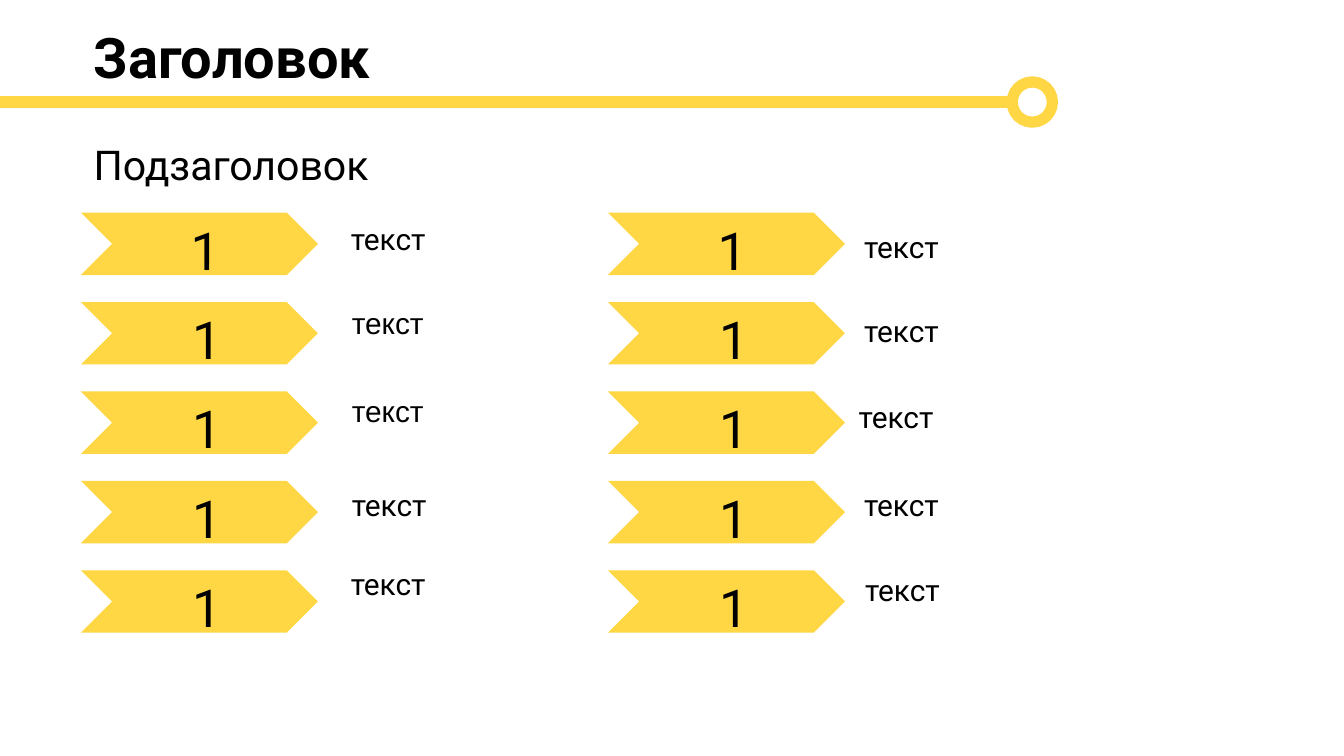
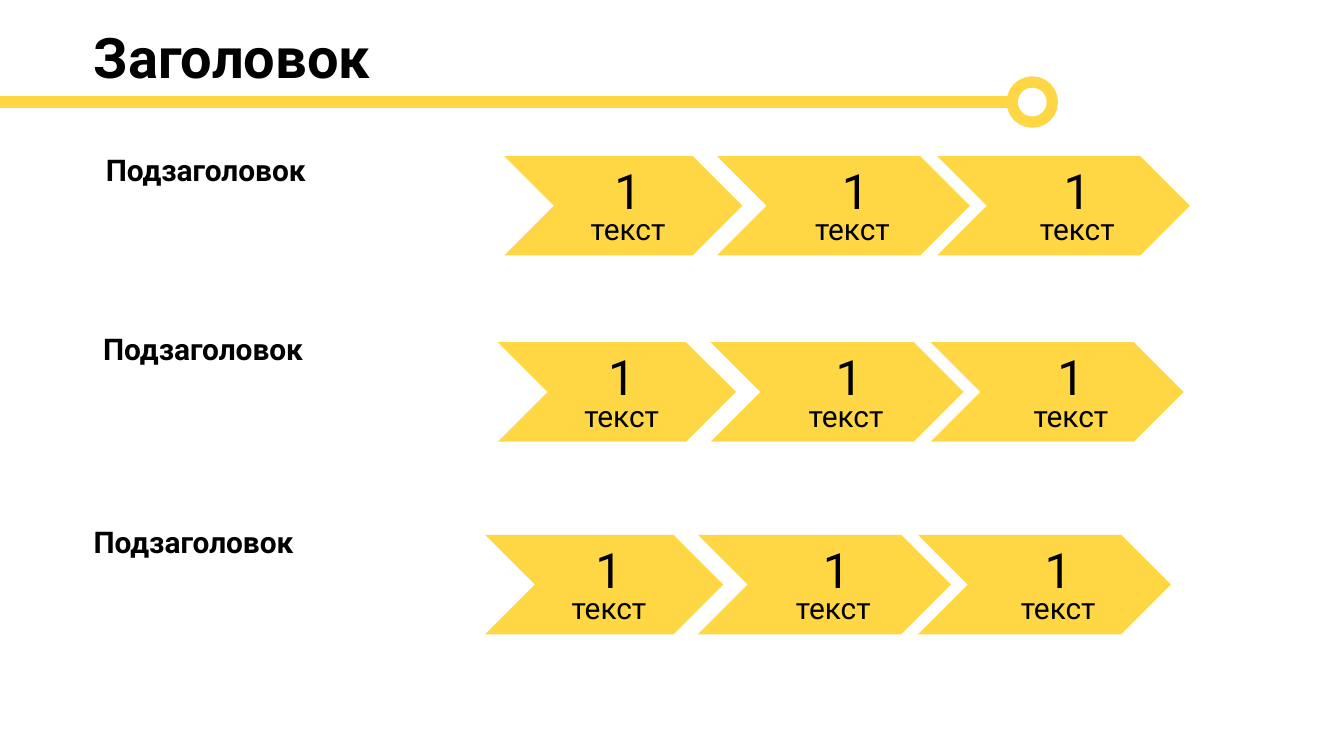
from lxml import etree
from pptx import Presentation
from pptx import util as u
from pptx.dml.color import RGBColor
from pptx.enum import shapes, text
from pptx.oxml import ns

GOLD = RGBColor(0xFF, 0xD7, 0x45)
BLACK = RGBColor(0, 0, 0)
LEFT, MID, JUST = text.PP_ALIGN.LEFT, text.PP_ALIGN.CENTER, text.PP_ALIGN.JUSTIFY
ONE = dict(alignment=MID, line_spacing=1.07)
TALL = 0.81


def assign(item, values):
    for name, value in values.items():
        setattr(item, name, value)


class Deck:
    def __init__(self):
        self.prs = Presentation()
        assign(self.prs, dict(slide_width=u.Cm(25.4), slide_height=u.Cm(14.29)))

    def page(self, high):
        self.slide = self.prs.slides.add_slide(self.prs.slide_layouts[6])
        self.label("Заголовок", (1.52, 0.3, 18.77, high), 30, bold=True)
        self.rule((-0.08, 1.93), (19.13, 1.93))
        self.ring((19.13, 1.55, 0.76, 0.76))

    def label(self, words, box, size, face="Roboto", bold=False, **para):
        frame = self.slide.shapes.add_textbox(*map(u.Cm, box)).text_frame
        assign(frame, dict(word_wrap=True, vertical_anchor=text.MSO_ANCHOR.TOP))
        line = frame.paragraphs[0]
        assign(line, dict(alignment=LEFT) | para)
        run = line.add_run()
        run.text = words
        assign(run.font, dict(name=face, size=u.Pt(size), bold=bold))
        run.font.color.rgb = BLACK

    def stroke(self, line):
        line.color.rgb = GOLD
        line.width = u.Pt(6)

    def rule(self, start, end):
        link = self.slide.shapes.add_connector(
            shapes.MSO_CONNECTOR.STRAIGHT, *map(u.Cm, start + end))
        self.stroke(link.line)
        etree.SubElement(link._element.spPr, ns.qn("a:effectLst"))

    def shape(self, kind, box):
        item = self.slide.shapes.add_shape(kind, *map(u.Cm, box))
        item.shadow.inherit = False
        return item

    def ring(self, box):
        item = self.shape(shapes.MSO_SHAPE.OVAL, box)
        item.fill.background()
        self.stroke(item.line)

    def arrow(self, box):
        item = self.shape(shapes.MSO_SHAPE.CHEVRON, box)
        item.adjustments[0] = 0.5
        item.fill.solid()
        item.fill.fore_color.rgb = GOLD
        item.line.fill.background()


def lists(deck):
    deck.page(1.6)
    deck.label("Подзаголовок", (1.52, 2.51, 18.77, 1.02), 22)
    gap = dict(alignment=JUST, space_after=u.Pt(8))
    arial = dict(face="Arial")
    labels = [
        (6.38, 4.04, 3.76, TALL, {}),
        (6.4, 5.64, 4.37, TALL, arial),
        (6.4, 7.29, 4.09, TALL, arial),
        (6.4, 9.07, 3.18, TALL, {}),
        (6.38, 10.57, 4.19, TALL, {}),
        (16.08, 4.19, 6.86, TALL, gap),
        (16.08, 5.79, 5.79, TALL, {}),
        (15.98, 7.42, 7.57, 1.02, dict(alignment=JUST)),
        (16.08, 9.07, 7.57, TALL, gap),
        (16.1, 10.69, 7.34, TALL, gap),
    ]
    for *box, style in labels:
        deck.label("текст", box, 16, **style)
    for left in (11.49, 1.53):
        for row in range(5):
            top = 4.02 + 1.69 * row
            shift, wide = (0.79, 3.18) if row else (1.22, 2.26)
            deck.arrow((left, top, 4.48, 1.18))
            deck.label("1", (left + shift, top - 0.11, wide, 1.09), 28, **ONE)


def steps(deck):
    deck.page(1.35)
    rows = [
        ((1.75, 2.74, 9.14, 2.57), 9.53, 2.95),
        ((1.7, 6.12, 9.14, 1.75), 9.41, 6.47),
        ((1.52, 9.78, 9.14, 1.02), 9.17, 10.11),
    ]
    cells = [(0, 4.5, 0.92, 0.92), (4.02, 4.78, 5.22, 5.16), (8.18, 4.78, 9.41, 9.41)]
    for head, left, top in rows:
        deck.label("Подзаголовок", head, 16, bold=True)
        for shift, wide, mark, word in cells:
            deck.arrow((left + shift, top, wide, 1.88))
            deck.label("1", (left + mark, top - 0.11, 2.84, 1.35), 26, **ONE)
            deck.label("текст", (left + word, top + 0.87, 2.84, 1.35), 16, **ONE)


def main():
    deck = Deck()
    lists(deck)
    steps(deck)
    deck.prs.save("out.pptx")


if __name__ == "__main__":
    main()
